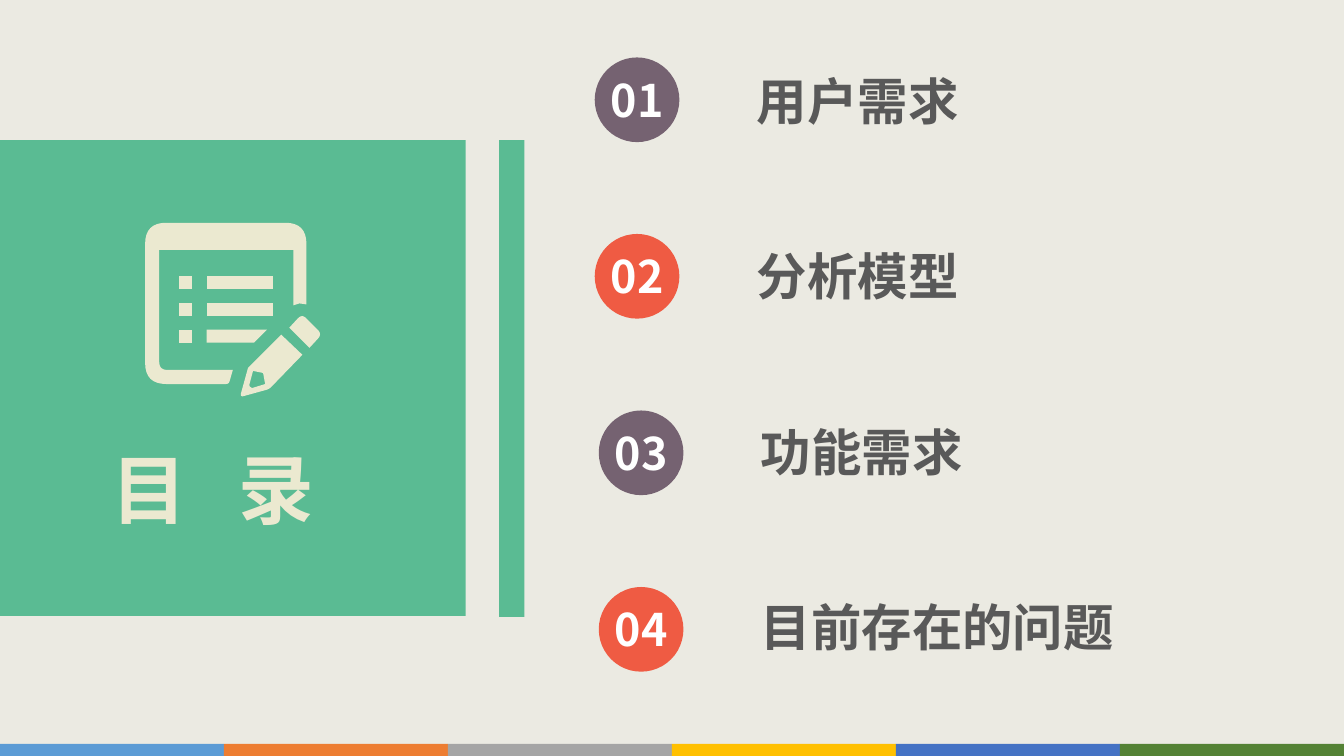
from dataclasses import dataclass
from math import hypot

from lxml import etree
from pptx import Presentation
from pptx.dml.color import RGBColor
from pptx.enum.shapes import MSO_SHAPE
from pptx.enum.text import MSO_ANCHOR, MSO_AUTO_SIZE, PP_ALIGN
from pptx.oxml.ns import qn
from pptx.util import Inches, Pt

RECTANGLE, OVAL = MSO_SHAPE.RECTANGLE, MSO_SHAPE.OVAL
TOP, MIDDLE = MSO_ANCHOR.TOP, MSO_ANCHOR.MIDDLE
LEFT, CENTER = PP_ALIGN.LEFT, PP_ALIGN.CENTER
FIXED_SIZE = MSO_AUTO_SIZE.NONE
TITLE_ONLY = 5

WIDTH, HEIGHT = Inches(13.33), Inches(7.5)
COLUMN, ROW = WIDTH / 100, HEIGHT / 100
ICON_UNIT = WIDTH / 1333
ICON_LEFT, ICON_TOP = 10.8 * COLUMN, 29.47 * ROW


@dataclass(frozen=True)
class Theme:
    font: str = "Noto Sans CJK SC"
    background: str = "EBEAE2"
    panel: str = "5ABB93"
    cream: str = "EBE9D0"
    label: str = "595959"
    number: str = "FFFFFF"
    badges: tuple = ("756271", "EF5B43")
    footer: tuple = ("5B9BD5", "ED7D31", "A5A5A5", "FFC000", "4472C4", "548235")
    title_size: int = 54
    label_size: int = 36
    number_size: int = 32


THEME = Theme()

AGENDA = [
    ("用户需求", 0, 25.58),
    ("分析模型", 0, 16.65),
    ("功能需求", 0.3, 25.58),
    ("目前存在的问题", 0.3, 37.58),
]

NOTE_FRAME = [(87, 146, 0), (83, 160, 3), (0, 160, 21), (0, 0, 21), (160, 0, 21),
              (160, 81, 0), (153, 80, 0), (147, 82, 0), (147, 27, 0),
              (14, 27, 0), (14, 146, 8)]
PENCIL_BODY = [(135, 111, 0), (156, 131, 0), (123, 165, 3), (94, 173, 4), (102, 144, 1)]
PENCIL_TIP = [(107, 147, 0), (103, 162, 2), (106, 164, 1), (119, 160, 0), (117, 149, 1)]
ERASER = [(143, 104, 0), (155.5, 90.5, 6), (175.5, 110.5, 6), (163, 124, 0)]
CUT_LINE = [(61, 106, 0), (121, 106, 0), (108, 119, 0), (61, 119, 0)]


def paint(shape, color):
    shape.shadow.inherit = False
    shape.fill.solid()
    shape.fill.fore_color.rgb = RGBColor.from_string(color)
    shape.line.fill.background()


def place(shape, left, top, width, height):
    shape.left, shape.top = round(left * COLUMN), round(top * ROW)
    shape.width, shape.height = round(width * COLUMN), round(height * ROW)


def add_block(slide, kind, color, left, top, width, height):
    block = slide.shapes.add_shape(kind, 0, 0, 0, 0)
    place(block, left, top, width, height)
    paint(block, color)


def write(holder, text, *, size, color, align=LEFT, anchor=MIDDLE, wrap=False, spacing=0):
    frame = holder.text_frame
    frame.auto_size = FIXED_SIZE
    frame.word_wrap = wrap
    frame.vertical_anchor = anchor
    paragraph = frame.paragraphs[0]
    paragraph.alignment = align
    run = paragraph.add_run()
    run.text = text
    run.font.name = THEME.font
    run.font.size = Pt(size)
    run.font.bold = True
    run.font.color.rgb = RGBColor.from_string(color)
    properties = run._r.get_or_add_rPr()
    etree.SubElement(properties, qn("a:ea")).set("typeface", THEME.font)
    if spacing:
        properties.set("spc", str(round(spacing * 100)))


def add_text(slide, text, box, **text_format):
    holder = slide.shapes.add_textbox(0, 0, 0, 0)
    place(holder, *box)
    write(holder, text, **text_format)


def toward(corner, neighbor, distance):
    dx, dy = neighbor[0] - corner[0], neighbor[1] - corner[1]
    share = distance / hypot(dx, dy)
    return corner[0] + dx * share, corner[1] + dy * share


def round_corners(corners, steps=8):
    outline = []
    for index, corner in enumerate(corners):
        x, y, radius = corner
        if not radius:
            outline.append((x, y))
            continue
        start = toward(corner, corners[index - 1], radius)
        end = toward(corner, corners[(index + 1) % len(corners)], radius)
        for step in range(steps + 1):
            t = step / steps
            a, b, c = (1 - t) ** 2, 2 * t * (1 - t), t ** 2
            outline.append((a * start[0] + b * x + c * end[0],
                            a * start[1] + b * y + c * end[1]))
    return [(ICON_LEFT + x * ICON_UNIT, ICON_TOP + y * ICON_UNIT) for x, y in outline]


def add_outline(slide, *contours):
    first, *others = [round_corners(contour) for contour in contours]
    builder = slide.shapes.build_freeform(*first[0])
    builder.add_line_segments(first[1:], close=True)
    for contour in others:
        builder.move_to(*contour[0])
        builder.add_line_segments(contour[1:], close=True)
    paint(builder.convert_to_shape(), THEME.cream)


def add_icon_bar(slide, left, top, width):
    right, bottom = left + width, top + 13
    add_outline(slide, [(left, top, 0), (right, top, 0), (right, bottom, 0), (left, bottom, 0)])


def add_note_icon(slide):
    add_outline(slide, NOTE_FRAME)
    add_outline(slide, PENCIL_BODY, PENCIL_TIP)
    add_outline(slide, ERASER)
    add_outline(slide, CUT_LINE)
    for row in range(3):
        add_icon_bar(slide, 34, 53 + 26.5 * row, 13)
    for row in range(2):
        add_icon_bar(slide, 61, 53 + 26.5 * row, 66)


def add_footer(slide):
    width = 100 / len(THEME.footer)
    for index, color in enumerate(THEME.footer):
        add_block(slide, RECTANGLE, color, index * width, 98.4, width, 1.6)


def add_title(slide):
    title = slide.shapes.title
    place(title, 7.58, 57.87, 18, 13.47)
    write(title, "目 录", size=THEME.title_size, color=THEME.cream, anchor=TOP, spacing=12.15)
    title._element.getparent().append(title._element)


def add_agenda_item(slide, index, label, shift, label_width):
    badge_left, badge_top = 44.25 + shift, 7.6 + 23.35 * index
    badge_color = THEME.badges[index % len(THEME.badges)]
    add_block(slide, OVAL, badge_color, badge_left, badge_top, 6.3, 11.2)
    add_text(slide, f"{index + 1:02}", (badge_left + 0.15, badge_top + 1.25, 6, 8.53),
             size=THEME.number_size, color=THEME.number, align=CENTER, wrap=True)
    add_text(slide, label, (55.58 + shift, 8.53 + 23.2 * index, label_width, 9.47),
             size=THEME.label_size, color=THEME.label)


def main():
    deck = Presentation()
    deck.slide_width, deck.slide_height = WIDTH, HEIGHT
    slide = deck.slides.add_slide(deck.slide_layouts[TITLE_ONLY])
    slide.background.fill.solid()
    slide.background.fill.fore_color.rgb = RGBColor.from_string(THEME.background)
    add_footer(slide)
    add_block(slide, RECTANGLE, THEME.panel, 0, 18.53, 34.65, 62.93)
    add_block(slide, RECTANGLE, THEME.panel, 37.13, 18.53, 1.88, 63.07)
    add_note_icon(slide)
    add_title(slide)
    for index, (label, shift, label_width) in enumerate(AGENDA):
        add_agenda_item(slide, index, label, shift, label_width)
    deck.save("out.pptx")


if __name__ == "__main__":
    main()
